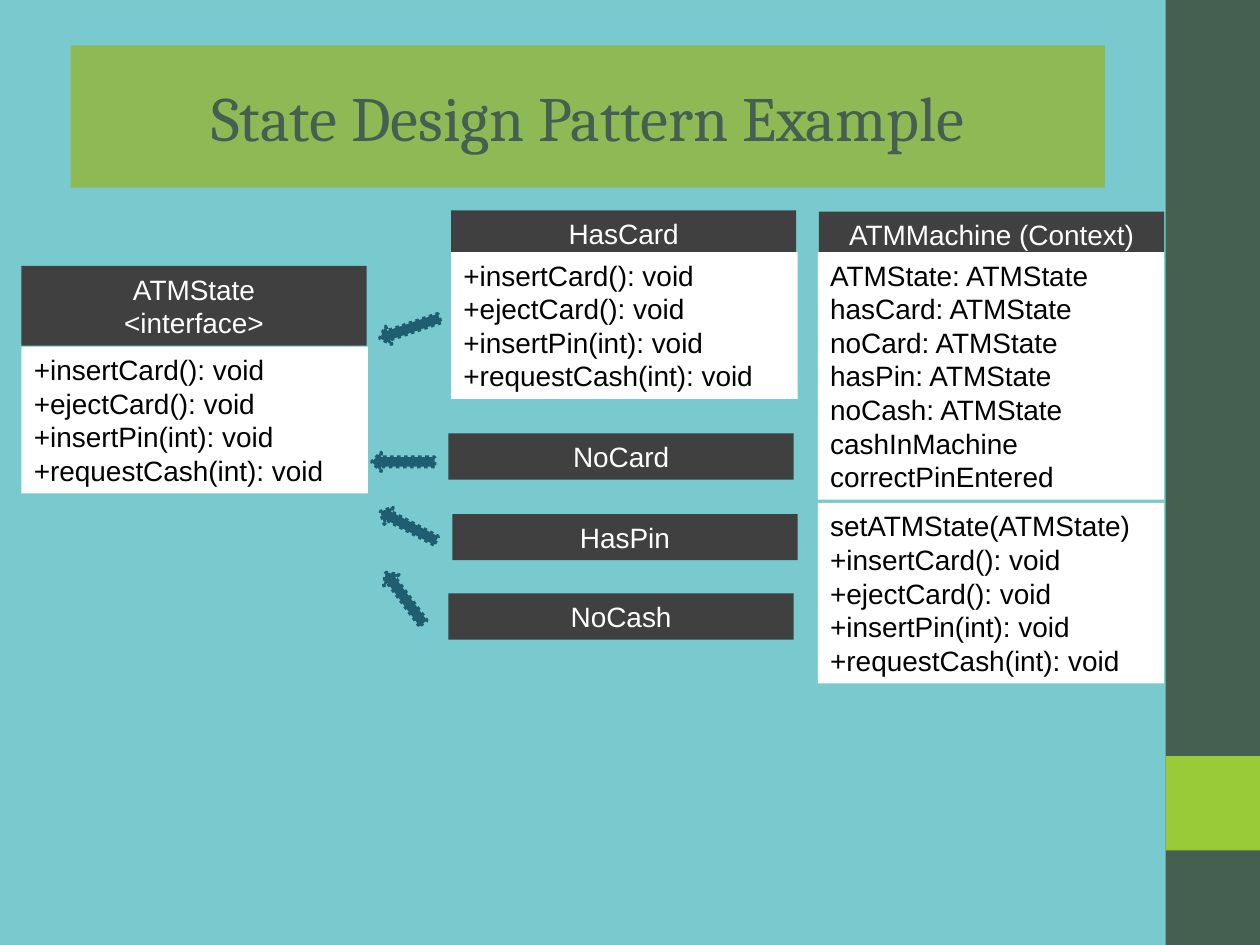
from pptx import Presentation
from pptx.dml.color import RGBColor
from pptx.enum.dml import MSO_LINE
from pptx.enum.shapes import MSO_SHAPE
from pptx.enum.text import MSO_ANCHOR, MSO_AUTO_SIZE, PP_ALIGN
from pptx.util import Inches, Pt

COLUMNS, ROWS = 100, 75
COLORS = {
    "background": "78CACF",
    "sidebar": "455F51",
    "accent": "99CB38",
    "title": "8DBA55",
    "header": "404040",
    "body": "FFFFFF",
    "light": "FFFFFF",
    "dark": "000000",
    "arrow": "1E5E70",
}
OPERATIONS = [
    "+insertCard(): void",
    "+ejectCard(): void",
    "+insertPin(int): void",
    "+requestCash(int): void",
]
FIELDS = [
    "ATMState: ATMState",
    "hasCard: ATMState",
    "noCard: ATMState",
    "hasPin: ATMState",
    "noCash: ATMState",
    "cashInMachine",
    "correctPinEntered",
]


def color(name):
    return RGBColor.from_string(COLORS[name])


def write_lines(frame, lines, font="Arial", size=16, ink="dark",
                align=PP_ALIGN.LEFT, anchor=MSO_ANCHOR.TOP, spacing=None):
    frame.word_wrap = True
    frame.auto_size = MSO_AUTO_SIZE.NONE
    frame.vertical_anchor = anchor
    for index, line in enumerate(lines):
        paragraph = frame.add_paragraph() if index else frame.paragraphs[0]
        paragraph.text = line
        paragraph.alignment = align
        paragraph.line_spacing = spacing
        paragraph.font.name = font
        paragraph.font.size = Pt(size)
        paragraph.font.color.rgb = color(ink)


class ClassDiagram:
    line_points = 19.2
    padding = 1
    header_width, body_width = 27.4, 27.5

    def __init__(self, presentation):
        self.column = presentation.slide_width / COLUMNS
        self.row = presentation.slide_height / ROWS
        self.slide = presentation.slides.add_slide(presentation.slide_layouts[5])
        self.slide.background.fill.solid()
        self.slide.background.fill.fore_color.rgb = color("background")

    def place(self, left, top, width, height):
        return (int(left * self.column), int(top * self.row),
                int(width * self.column), int(height * self.row))

    def block(self, left, top, width, height, fill, kind=MSO_SHAPE.RECTANGLE):
        shape = self.slide.shapes.add_shape(
            kind, *self.place(left, top, width, height))
        shape.shadow.inherit = False
        shape.fill.solid()
        shape.fill.fore_color.rgb = color(fill)
        shape.line.fill.background()
        return shape

    def title(self, text, left, top, width, height):
        shape = self.slide.shapes.title
        shape.left, shape.top, shape.width, shape.height = self.place(
            left, top, width, height)
        shape.fill.solid()
        shape.fill.fore_color.rgb = color("title")
        write_lines(shape.text_frame, [text], font="Cambria", size=36,
                    ink="sidebar", align=PP_ALIGN.CENTER,
                    anchor=MSO_ANCHOR.MIDDLE)

    def panel(self, lines, left, top, width, fill, **text_format):
        height = self.padding + len(lines) * Pt(self.line_points) / self.row
        shape = self.block(left, top, width, height, fill)
        write_lines(shape.text_frame, lines, spacing=Pt(self.line_points),
                    **text_format)

    def header(self, lines, left, top):
        self.panel(lines, left, top, self.header_width, "header",
                   ink="light", align=PP_ALIGN.CENTER)

    def body(self, lines, left, top):
        self.panel(lines, left, top, self.body_width, "body")

    def arrow(self, left, top, rotation):
        shape = self.block(left, top, 5, 1.5, "arrow", MSO_SHAPE.RIGHT_ARROW)
        shape.rotation = rotation
        shape.line.color.rgb = color("arrow")
        shape.line.width = Pt(2)
        shape.line.dash_style = MSO_LINE.ROUND_DOT


def main():
    presentation = Presentation()
    presentation.slide_width, presentation.slide_height = Inches(10), Inches(7.5)
    diagram = ClassDiagram(presentation)

    diagram.block(92.5, 0, 7.5, ROWS, "sidebar")
    diagram.block(92.5, 60, 7.5, 7.5, "accent")
    diagram.title("State Design Pattern Example", 5.6, 3.6, 82.1, 11.3)

    for lines, left, top in [
        (["ATMState", "<interface>"], 1.7, 21.1),
        (["HasCard"], 35.8, 16.7),
        (["NoCard"], 35.6, 34.4),
        (["HasPin"], 35.9, 40.8),
        (["NoCash"], 35.6, 47.1),
        (["ATMMachine (Context)"], 65, 16.8),
    ]:
        diagram.header(lines, left, top)

    for lines, left, top in [
        (OPERATIONS, 1.7, 27.5),
        (OPERATIONS, 35.8, 20),
        (FIELDS, 64.9, 20),
        (["setATMState(ATMState)"] + OPERATIONS, 64.9, 39.9),
    ]:
        diagram.body(lines, left, top)

    for left, top, rotation in [
        (30, 25.3, 161.3),
        (29.5, 35.9, 180),
        (29.9, 41, 207.6),
        (29.6, 46.7, 233.5),
    ]:
        diagram.arrow(left, top, rotation)

    presentation.save("out.pptx")


if __name__ == "__main__":
    main()
